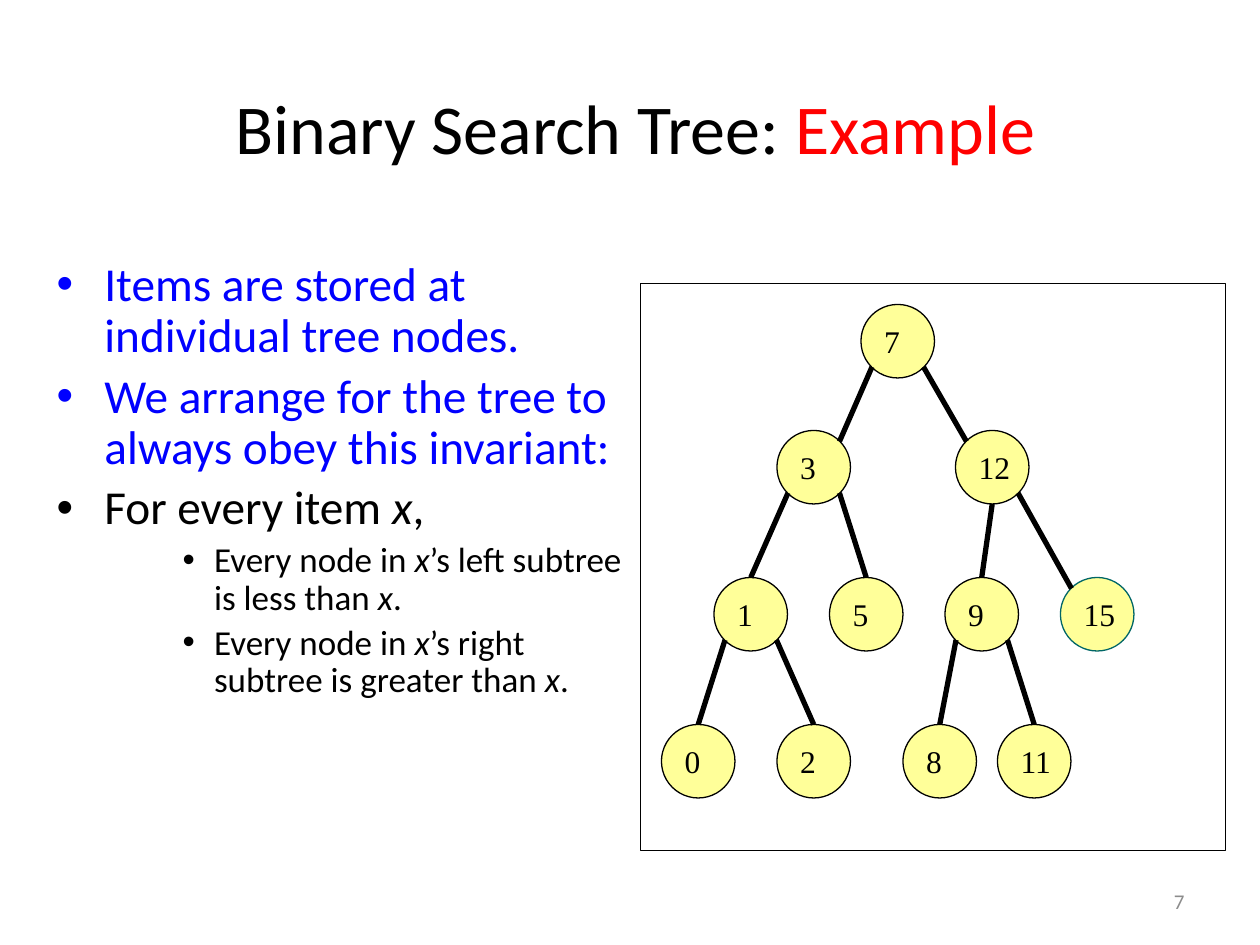
"""Build the binary search tree example slide."""
from lxml import etree
from pptx import Presentation
from pptx import util as u
from pptx.dml.color import RGBColor
from pptx.enum import shapes, text
from pptx.oxml.ns import qn

BLACK = RGBColor(0x00, 0x00, 0x00)
WHITE = RGBColor(0xFF, 0xFF, 0xFF)
RED = RGBColor(0xFF, 0x00, 0x00)
BLUE = RGBColor(0x00, 0x00, 0xFF)
YELLOW = RGBColor(0xFF, 0xFF, 0x99)
TEAL = RGBColor(0x00, 0x66, 0x66)
GREY = RGBColor(0x8C, 0x8C, 0x8C)

COLUMNS, ROWS = 120, 90
NODE_SIZE = 7
NEAR, FAR = 0.15, 0.85
SITES = {
    "top": (0.5, 0), "bottom": (0.5, 1),
    "top left": (NEAR, NEAR), "top right": (FAR, NEAR),
    "bottom left": (NEAR, FAR), "bottom right": (FAR, FAR),
}

NODES = {
    7: (82, 29),
    3: (74, 41), 12: (91, 41),
    1: (68, 55), 5: (79, 55), 9: (90, 55), 15: (101, 55),
    0: (63, 69), 2: (74, 69), 8: (86, 69), 11: (95, 69),
}
EDGES = [
    (7, "bottom left", 3, "top right"),
    (7, "bottom right", 12, "top left"),
    (12, "bottom", 9, "top"),
    (12, "bottom right", 15, "top left"),
    (9, "bottom right", 11, "top"),
    (9, "bottom left", 8, "top"),
    (3, "bottom right", 5, "top"),
    (3, "bottom left", 1, "top"),
    (1, "bottom left", 0, "top"),
    (1, "bottom right", 2, "top"),
]
INVARIANT = [
    ("Items are stored at individual tree nodes.", 0, BLUE),
    ("We arrange for the tree to always obey this invariant:", 0, BLUE),
    ("For every item *x*,", 0, BLACK),
    ("Every node in *x*’s left subtree is less than *x*.", 2, BLACK),
    ("Every node in *x*’s right subtree is greater than *x*.", 2, BLACK),
]
BULLET_STYLES = {0: (27, 0.38, 0.38), 2: (20, 1.25, 0.25)}


def write(paragraph, words, size=18, font="Calibri", color=BLACK):
    """Add text to a paragraph, setting the parts between asterisks in italics."""
    for index, part in enumerate(words.split("*")):
        run = paragraph.add_run()
        run.text = part
        run.font.size = u.Pt(size)
        run.font.name = font
        run.font.color.rgb = color
        run.font.italic = index % 2 == 1


class TreeSlide:
    """Hold the grid, the style and the current slide."""

    def __init__(self, deck):
        self.column = deck.slide_width / COLUMNS
        self.row = deck.slide_height / ROWS
        self.slide = deck.slides.add_slide(deck.slide_layouts[6])

    def place(self, *lengths):
        """Turn columns and rows, taken in turn, into slide lengths."""
        return [u.Emu(round(length * (self.row if i % 2 else self.column)))
                for i, length in enumerate(lengths)]

    def shape(self, kind, box, fill, line=BLACK):
        """Draw a thinly outlined shape."""
        outline = self.slide.shapes.add_shape(kind, *self.place(*box))
        outline.shadow.inherit = False
        outline.fill.solid()
        outline.fill.fore_color.rgb = fill
        outline.line.color.rgb = line
        outline.line.width = u.Pt(0.75)
        return outline

    def textbox(self, box, anchor=text.MSO_ANCHOR.MIDDLE):
        """Add a wrapping text box and return its frame."""
        frame = self.slide.shapes.add_textbox(*self.place(*box)).text_frame
        frame.word_wrap = True
        frame.vertical_anchor = anchor
        return frame

    def line_of_text(self, box, align, parts, size):
        """Write one line made of differently coloured parts."""
        paragraph = self.textbox(box).paragraphs[0]
        paragraph.alignment = align
        for words, color in parts:
            write(paragraph, words, size=size, color=color)

    def bullets(self, box, items):
        """Write a bulleted list with indented levels."""
        frame = self.textbox(box, text.MSO_ANCHOR.TOP)
        for index, (words, level, color) in enumerate(items):
            size, margin, hanging = BULLET_STYLES[level]
            paragraph = frame.add_paragraph() if index else frame.paragraphs[0]
            paragraph.level = level
            paragraph.line_spacing = 0.9
            paragraph.space_before = u.Pt(size * 0.2)
            properties = paragraph._p.get_or_add_pPr()
            properties.set("marL", str(u.Inches(margin)))
            properties.set("indent", str(-u.Inches(hanging)))
            etree.SubElement(properties, qn("a:buFont")).set("typeface", "Arial")
            etree.SubElement(properties, qn("a:buChar")).set("char", "•")
            write(paragraph, words, size=size, color=color)

    def node(self, key, line=BLACK):
        """Draw a tree node holding its key."""
        box = (*NODES[key], NODE_SIZE, NODE_SIZE)
        frame = self.shape(shapes.MSO_SHAPE.OVAL, box, YELLOW, line).text_frame
        frame.word_wrap = False
        frame.vertical_anchor = text.MSO_ANCHOR.MIDDLE
        frame.paragraphs[0].alignment = text.PP_ALIGN.LEFT
        write(frame.paragraphs[0], str(key), font="Times New Roman")

    def edge(self, parent, parent_site, child, child_site):
        """Draw a thick line from a parent to its child."""
        ends = [start + NODE_SIZE * share
                for key, site in ((parent, parent_site), (child, child_site))
                for start, share in zip(NODES[key], SITES[site])]
        branch = self.slide.shapes.add_connector(
            shapes.MSO_CONNECTOR.STRAIGHT, *self.place(*ends))
        branch.line.color.rgb = BLACK
        branch.line.width = u.Pt(3)
        etree.SubElement(branch._element.spPr, qn("a:effectLst"))


def main():
    """Build and save the slide."""
    deck = Presentation()
    deck.slide_width, deck.slide_height = u.Inches(10), u.Inches(7.5)
    tree = TreeSlide(deck)
    tree.shape(shapes.MSO_SHAPE.RECTANGLE, (61, 27, 55.7, 54), WHITE)
    tree.line_of_text((10, 7, 101, 10), text.PP_ALIGN.CENTER,
                      [("Binary Search Tree: ", BLACK), ("Example", RED)], 40)
    tree.bullets((4.2, 24.25, 56.65, 53), INVARIANT)
    for key in NODES:
        tree.node(key, TEAL if key == 15 else BLACK)
    for edge in EDGES:
        tree.edge(*edge)
    tree.line_of_text((86, 83.4, 28, 4.8), text.PP_ALIGN.RIGHT, [("7", GREY)], 12)
    deck.save("out.pptx")


if __name__ == "__main__":
    main()
